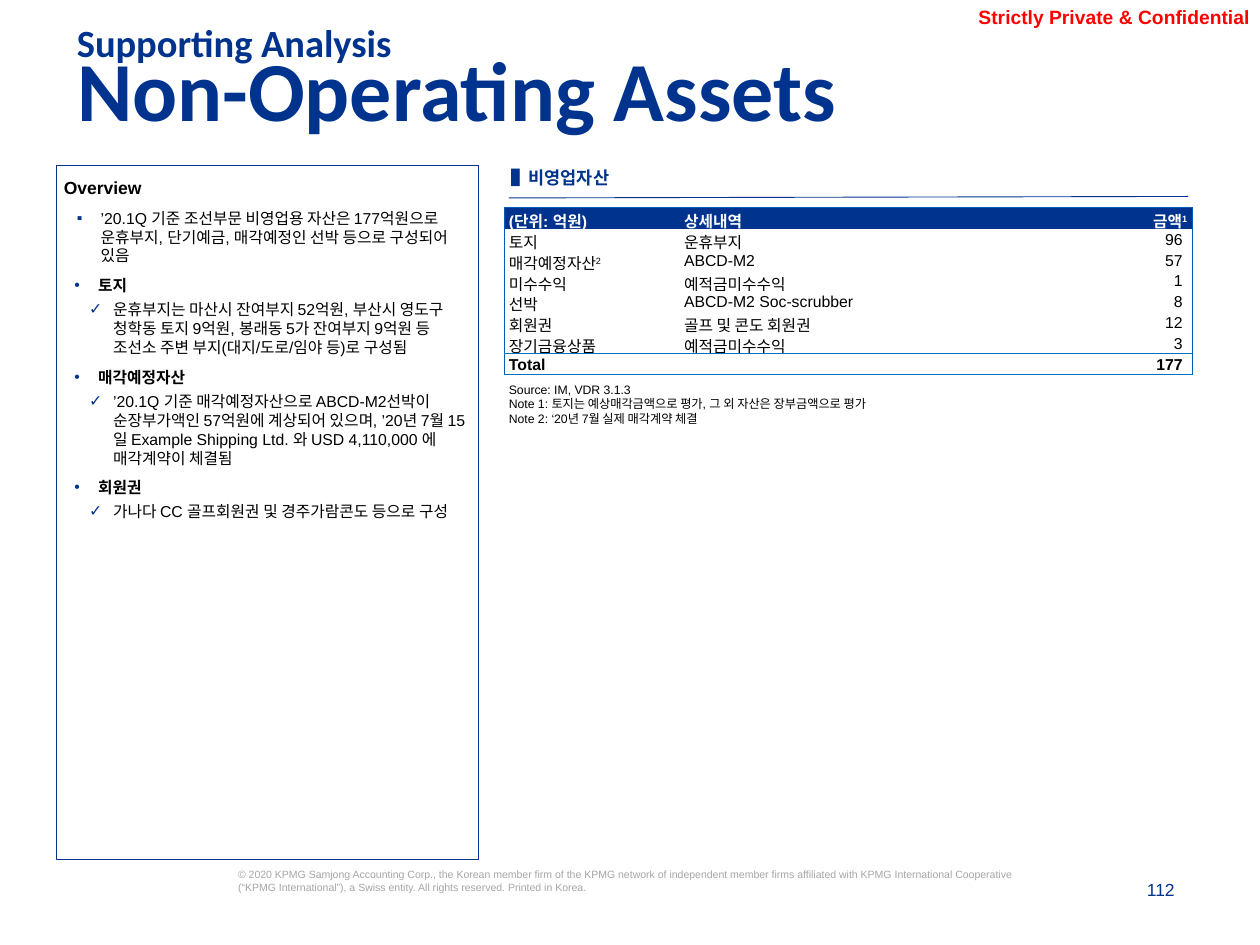
from lxml.etree import SubElement
from pptx import Presentation
from pptx.dml.color import RGBColor
from pptx.enum.shapes import MSO_CONNECTOR as Connector, MSO_SHAPE as Shape
from pptx.enum.text import MSO_ANCHOR as Anchor, MSO_AUTO_SIZE as AutoSize, PP_ALIGN as Align
from pptx.oxml.ns import qn
from pptx.util import Cm, Pt

NAVY = RGBColor(0x00, 0x33, 0x8D)
BLUE = RGBColor(0x00, 0x5E, 0xB8)
SKY = RGBColor(0x00, 0x70, 0xC0)
RED = RGBColor(0xFF, 0x00, 0x00)
GREY = RGBColor(0xA6, 0xA6, 0xA6)
BLACK = RGBColor(0x00, 0x00, 0x00)
WHITE = RGBColor(0xFF, 0xFF, 0xFF)

# Bullet, left margin, space before (pt), bold
SQUARE = ("▪", 0.74, 6, False)
TOPIC = ("•", 0.69, 6, True)
CHECK = ("✓", 0.99, 3, False)
HANGING = 0.48

OVERVIEW = [
    (SQUARE, "’20.1Q 기준 조선부문 비영업용 자산은 177억원으로 운휴부지, 단기예금, 매각예정인 선박 등으로 구성되어 있음"),
    (TOPIC, "토지"),
    (CHECK, "운휴부지는 마산시 잔여부지 52억원, 부산시 영도구 청학동 토지 9억원, "
            "봉래동 5가 잔여부지 9억원 등 조선소 주변 부지(대지/도로/임야 등)로 구성됨"),
    (TOPIC, "매각예정자산"),
    (CHECK, "’20.1Q 기준 매각예정자산으로 ABCD-M2선박이 순장부가액인 57억원에 계상되어 있으며, "
            "’20년 7월 15일 Example Shipping Ltd. 와 USD 4,110,000 에 매각계약이 체결됨"),
    (TOPIC, "회원권"),
    (CHECK, "가나다 CC 골프회원권 및 경주가람콘도 등으로 구성"),
]

# A caret separates a text from its superscript note number
ASSETS = [
    ("(단위: 억원)", "상세내역", "금액^1"),
    ("토지", "운휴부지", "96"),
    ("매각예정자산^2", "ABCD-M2", "57"),
    ("미수수익", "예적금미수수익", "1"),
    ("선박", "ABCD-M2 Soc-scrubber", "8"),
    ("회원권", "골프 및 콘도 회원권", "12"),
    ("장기금융상품", "예적금미수수익", "3"),
    ("Total", "", "177"),
]
COLUMN_WIDTHS = (3.53, 7.01, 3.33)
ROW_HEIGHT = 0.42

NOTES = """Source: IM, VDR 3.1.3
Note 1: 토지는 예상매각금액으로 평가, 그 외 자산은 장부금액으로 평가
Note 2: ‘20년 7월 실제 매각계약 체결"""

COPYRIGHT = (
    "© 2020 KPMG Samjong Accounting Corp., the Korean member firm of the KPMG network of "
    "independent member firms affiliated with KPMG International Cooperative "
    "(“KPMG International”), a Swiss entity. All rights reserved. Printed in Korea."
)


def format_runs(para, size, color, bold=False, font="Arial"):
    for span in para.runs:
        span.font.name = font
        span.font.size = Pt(size)
        span.font.bold = bold
        span.font.color.rgb = color


def set_insets(holder, left, top, right, bottom):
    """Set the margins of a text frame or a table cell, in cm."""
    holder.margin_left, holder.margin_top = Cm(left), Cm(top)
    holder.margin_right, holder.margin_bottom = Cm(right), Cm(bottom)


def set_bullet(para, char, margin):
    props = para._p.get_or_add_pPr()
    props.set("marL", str(Cm(margin)))
    props.set("indent", str(-Cm(HANGING)))
    color = SubElement(props, qn("a:buClr"))
    SubElement(color, qn("a:srgbClr"), val=str(NAVY))
    SubElement(props, qn("a:buFont"), typeface="Arial")
    SubElement(props, qn("a:buChar"), char=char)


def set_borders(cell, borders):
    """Draw the cell edges given as {edge: (color, points)} and hide the others."""
    props = cell._tc.get_or_add_tcPr()
    for position, edge in enumerate(("lnL", "lnR", "lnT", "lnB")):
        color, width = borders.get(edge, (None, 0))
        line = SubElement(props, qn(f"a:{edge}"), w=str(Pt(width)))
        props.insert(position, line)
        if color is None:
            SubElement(line, qn("a:noFill"))
        else:
            fill = SubElement(line, qn("a:solidFill"))
            SubElement(fill, qn("a:srgbClr"), val=str(color))


class ReportPage:
    def __init__(self, deck):
        self.page = deck.slides.add_slide(deck.slide_layouts[5])
        self.shapes = self.page.shapes

    def fill_heading(self, box, text, size):
        frame = box.text_frame
        frame.text = text
        frame.word_wrap = True
        frame.auto_size = AutoSize.NONE
        frame.vertical_anchor = Anchor.TOP
        para = frame.paragraphs[0]
        para.alignment = Align.LEFT
        para.line_spacing = 0.7
        format_runs(para, size, NAVY, True, "Calibri")

    def title(self, text, left, top, width, height):
        box = self.shapes.title
        box.left, box.top, box.width, box.height = map(Cm, (left, top, width, height))
        self.fill_heading(box, text, 48)

    def subtitle(self, text, *place):
        self.fill_heading(self.shapes.add_textbox(*map(Cm, place)), text, 22)

    def text(self, text, place, size, color, bold=False, align=Align.LEFT,
             anchor=Anchor.TOP, insets=(0, 0, 0, 0), spacing=None):
        frame = self.shapes.add_textbox(*map(Cm, place)).text_frame
        frame.word_wrap = True
        frame.vertical_anchor = anchor
        set_insets(frame, *insets)
        frame.text = text
        for para in frame.paragraphs:
            para.alignment = align
            para.line_spacing = spacing
            format_runs(para, size, color, bold)

    def panel(self, heading, items, *place):
        box = self.shapes.add_shape(Shape.RECTANGLE, *map(Cm, place))
        box.shadow.inherit = False
        box.fill.background()
        box.line.color.rgb = NAVY
        box.line.width = Pt(0.5)
        frame = box.text_frame
        frame.word_wrap = True
        frame.vertical_anchor = Anchor.TOP
        set_insets(frame, 0.15, 0.15, 0.15, 0.15)
        frame.text = heading
        para = frame.paragraphs[0]
        para.alignment = Align.LEFT
        para.line_spacing = 1.2
        format_runs(para, 10, BLACK, True)
        for (char, margin, gap, bold), text in items:
            para = frame.add_paragraph()
            para.text = text
            para.level = 2
            set_bullet(para, char, margin)
            para.alignment = Align.LEFT
            para.space_before = Pt(gap)
            format_runs(para, 9, BLACK, bold)

    def rule(self, *ends):
        line = self.shapes.add_connector(Connector.STRAIGHT, *map(Cm, ends))
        line.line.color.rgb = NAVY
        line.line.width = Pt(0.5)
        SubElement(line._element.spPr, qn("a:effectLst"))

    def table(self, rows, left, top):
        last_row, last_column = len(rows) - 1, len(COLUMN_WIDTHS) - 1
        table = self.shapes.add_table(
            len(rows), len(COLUMN_WIDTHS), Cm(left), Cm(top),
            Cm(sum(COLUMN_WIDTHS)), Cm(ROW_HEIGHT * len(rows))).table
        for column, width in zip(table.columns, COLUMN_WIDTHS):
            column.width = Cm(width)
        for r, row in enumerate(rows):
            table.rows[r].height = Cm(ROW_HEIGHT)
            for c, text in enumerate(row):
                borders = {}
                if c == 0:
                    borders["lnL"] = (BLUE, 0.5)
                if c == last_column:
                    borders["lnR"] = (BLUE, 0.5)
                if r == 0:
                    borders["lnT"] = (BLUE, 0.5)
                if r == last_row:
                    borders.update(lnT=(SKY, 0.5), lnB=(SKY, 1))
                if r == last_row - 1:
                    borders["lnB"] = (SKY, 0.5)
                is_value = c == last_column
                self.fill_cell(table.cell(r, c), text, r == 0, r in (0, last_row), is_value)
                set_borders(table.cell(r, c), borders)

    def fill_cell(self, cell, text, is_header, bold, is_value):
        cell.fill.solid()
        cell.fill.fore_color.rgb = NAVY if is_header else WHITE
        cell.vertical_anchor = Anchor.MIDDLE
        set_insets(cell, 0.1, 0.03, 0.19 if is_value and not is_header else 0.1, 0)
        para = cell.text_frame.paragraphs[0]
        para.alignment = Align.RIGHT if is_value else Align.LEFT
        label, _, note = text.partition("^")
        if label:
            para.add_run().text = label
        else:
            SubElement(para._p, qn("a:endParaRPr"), sz="900")
        if note:
            span = para.add_run()
            span.text = note
            span.font._element.set("baseline", "30000")
        format_runs(para, 9, WHITE if is_header else BLACK, bold)


def main():
    deck = Presentation()
    deck.slide_width, deck.slide_height = Cm(25.4), Cm(19.05)
    report = ReportPage(deck)
    report.text(COPYRIGHT, (4.8, 17.5, 16.15, 1.07), 6, GREY)
    report.text("112", (20.35, 17.73, 3.33, 0.41), 10, NAVY,
                align=Align.RIGHT, anchor=Anchor.BOTTOM)
    report.text("Strictly Private & Confidential", (18.95, -0.03, 6.35, 0.71), 11, RED, True,
                Align.RIGHT, Anchor.BOTTOM, (0, 0.1, 0.1, 0.1))
    report.title("Non-Operating Assets", 1.3, 1.19, 23.88, 2.01)
    report.subtitle("Supporting Analysis", 1.3, 0.51, 23.88, 0.76)
    report.panel("Overview", OVERVIEW, 1.14, 3.33, 8.51, 14)
    report.text(NOTES, (10.26, 7.7, 14.35, 0.89), 7, BLACK)
    report.rule(10.26, 3.99, 23.95, 3.96)
    report.text("▌비영업자산", (10.31, 3.05, 13.72, 0.99), 10, NAVY, True,
                anchor=Anchor.MIDDLE, spacing=1.2)
    report.table(ASSETS, 10.16, 4.19)
    deck.save("out.pptx")


if __name__ == "__main__":
    main()
